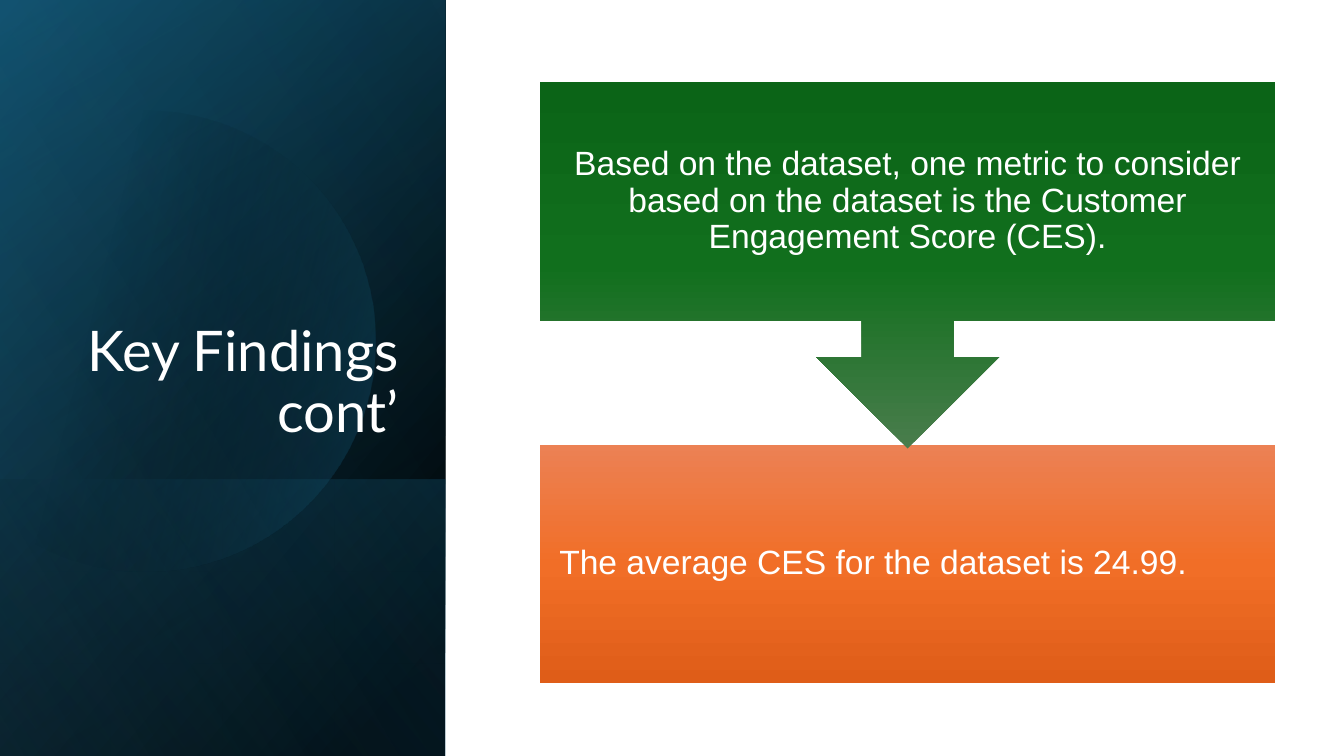
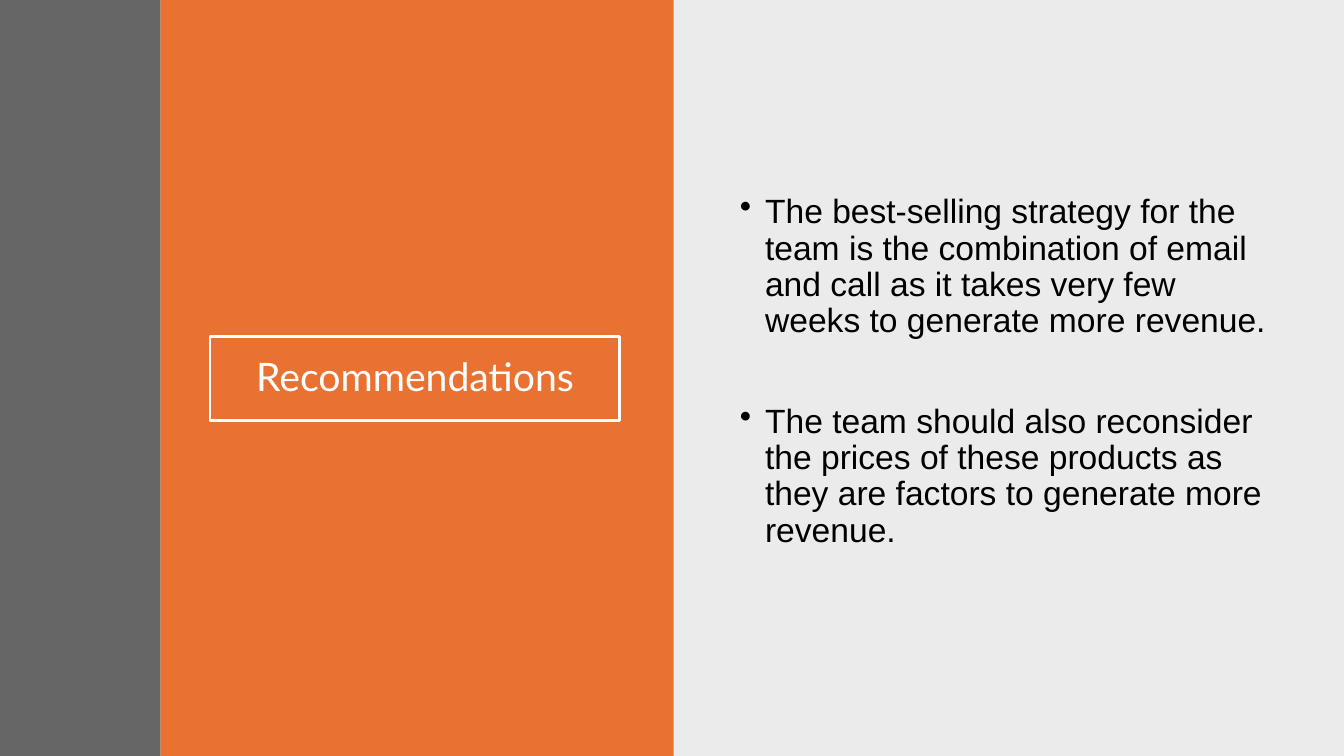
from dataclasses import dataclass
from math import acos, cos, pi, sin
from typing import NamedTuple, Optional, Union

from lxml.etree import SubElement
from pptx import Presentation
from pptx.dml.color import RGBColor
from pptx.enum.shapes import MSO_SHAPE as Preset
from pptx.enum.text import MSO_ANCHOR as Anchor, PP_ALIGN as Align
from pptx.oxml.ns import qn
from pptx.util import Inches, Pt

COLUMNS, ROWS = 16, 9
CELL = Inches(7.5) // ROWS


@dataclass(frozen=True)
class Theme:
    title_font: str = "Lato"
    body_font: str = "Arial"
    white: str = "FFFFFF"
    black: str = "000000"
    orange: str = "E97132"
    dark_gray: str = "666666"
    light_gray: str = "EBEBEB"
    teal: str = "156082"
    deep_teal: str = "0F4861"
    sky: str = "43AFE2"
    large_title: int = 40
    small_title: int = 28
    body: int = 24
    line_spacing: float = 0.9


THEME = Theme()


class Box(NamedTuple):
    """A frame in grid cells."""
    left: float
    top: float
    width: float
    height: float


class Stop(NamedTuple):
    position: int
    color: str
    opacity: int = 100


class Gradient(NamedTuple):
    angle: int
    stops: tuple[Stop, ...]


class Band(NamedTuple):
    box: Box
    fill: Union[str, Gradient]


@dataclass(frozen=True)
class TextStyle:
    font: str = THEME.body_font
    size: int = THEME.body
    color: str = THEME.white
    align: Align = Align.LEFT
    anchor: Anchor = Anchor.MIDDLE
    inset: tuple[float, float] = (0.1, 0.05)
    gap: int = 0
    bullet: Optional[str] = None


LARGE_TITLE = TextStyle(THEME.title_font, THEME.large_title, align=Align.RIGHT, anchor=Anchor.BOTTOM)
SMALL_TITLE = TextStyle(THEME.title_font, THEME.small_title, align=Align.CENTER)
STEP = TextStyle(inset=(0.19, 0.19))
CENTERED_STEP = TextStyle(inset=(0.19, 0.19), align=Align.CENTER)
BULLETS = TextStyle(color=THEME.black, anchor=Anchor.TOP, gap=46, bullet="•")

SIDE = Box(0, 0, 5.3, ROWS)
SIDE_BANDS = (
    Band(SIDE, Gradient(50, (Stop(0, THEME.black), Stop(8, THEME.black), Stop(100, THEME.deep_teal)))),
    Band(SIDE, Gradient(30, (Stop(0, THEME.black, 0), Stop(99, THEME.teal, 46), Stop(100, THEME.teal, 46)))),
    Band(Box(0, 5.71, 5.3, 3.29),
         Gradient(130, (Stop(0, THEME.teal, 29), Stop(2, THEME.teal, 29), Stop(100, THEME.black, 30)))),
)
SIDE_GLOW = Band(SIDE, Gradient(120, (Stop(0, THEME.black, 0), Stop(99, THEME.sky, 11), Stop(100, THEME.sky, 11))))
DISC_FILL = Gradient(14, (Stop(0, THEME.black, 0), Stop(29, THEME.black, 0), Stop(100, THEME.teal, 43)))
ORANGE_FILL = Gradient(90, (Stop(0, "EC8154"), Stop(50, "F16E27"), Stop(100, "DF5D18")))
GREEN_FILL = Gradient(90, (Stop(0, "497D4C"), Stop(50, "116F1D"), Stop(100, "0B6417")))

PANELS = (
    Band(Box(8, 0, 8, ROWS), THEME.light_gray),
    Band(Box(1.91, 0, 6.11, ROWS), THEME.orange),
    Band(Box(0, 0, 1.91, ROWS), THEME.dark_gray),
)
RECOMMENDATIONS = (
    "The best-selling strategy for the team is the combination of email and call "
    "as it takes very few weeks to generate more revenue.",
    "The team should also reconsider the prices of these products as they are "
    "factors to generate more revenue.",
)


def emu(box: Box) -> list[int]:
    return [round(value * CELL) for value in box]


def set_fill(shape, fill: Union[str, Gradient, None]) -> None:
    """Fill with a colour, a gradient or nothing, without outline and shadow."""
    shape.shadow.inherit = False
    shape.line.fill.background()
    if isinstance(fill, str):
        shape.fill.solid()
        shape.fill.fore_color.rgb = RGBColor.from_string(fill)
        return
    shape.fill.background()
    if fill is None:
        return
    properties = shape.element.spPr
    gradient = SubElement(properties, qn("a:gradFill"), rotWithShape="1")
    properties.replace(properties.find(qn("a:noFill")), gradient)
    stop_list = SubElement(gradient, qn("a:gsLst"))
    for stop in fill.stops:
        entry = SubElement(stop_list, qn("a:gs"), pos=str(stop.position * 1000))
        color = SubElement(entry, qn("a:srgbClr"), val=stop.color)
        if stop.opacity < 100:
            SubElement(color, qn("a:alpha"), val=str(stop.opacity * 1000))
    SubElement(gradient, qn("a:lin"), ang=str(fill.angle * 60000), scaled="0")


def add_block(slide, box: Box, fill: Union[str, Gradient, None], preset: Preset = Preset.RECTANGLE):
    shape = slide.shapes.add_shape(preset, *emu(box))
    set_fill(shape, fill)
    return shape


def add_turned_band(slide, band: Band) -> None:
    """Draw a band as a mirrored rectangle on its side, which turns its gradient."""
    left, top, width, height = band.box
    shift = (width - height) / 2
    shape = add_block(slide, Box(left + shift, top - shift, height, width), band.fill)
    shape.rotation = 90
    shape.element.spPr.xfrm.set("flipH", "1")


def add_disc(slide, center_x: float, center_y: float, radius: float) -> None:
    """Draw a disc cut off by the left edge of the slide."""
    reach, steps = acos(-center_x / radius), 120
    angles = [reach * (2 * step / steps - 1) for step in range(steps + 1)]
    points = [(round((center_x + radius * cos(angle)) * CELL),
               round((center_y + radius * sin(angle)) * CELL)) for angle in angles]
    builder = slide.shapes.build_freeform(*points[0])
    builder.add_line_segments(points[1:], close=True)
    set_fill(builder.convert_to_shape(), DISC_FILL)


def write(shape, style: TextStyle, *texts: str) -> None:
    frame = shape.text_frame
    side, end = (Inches(value) for value in style.inset)
    frame_format = {"word_wrap": True, "vertical_anchor": style.anchor, "margin_left": side,
                    "margin_right": side, "margin_top": end, "margin_bottom": end}
    for name, value in frame_format.items():
        setattr(frame, name, value)
    for index, text in enumerate(texts):
        paragraph = frame.add_paragraph() if index else frame.paragraphs[0]
        paragraph_format = {"text": text, "alignment": style.align, "line_spacing": THEME.line_spacing,
                            "space_before": Pt(style.gap if index else 0)}
        for name, value in paragraph_format.items():
            setattr(paragraph, name, value)
        for name, value in {"name": style.font, "size": Pt(style.size)}.items():
            setattr(paragraph.font, name, value)
        paragraph.font.color.rgb = RGBColor.from_string(style.color)
        if style.bullet:
            add_bullet(paragraph, style.bullet)


def add_bullet(paragraph, character: str) -> None:
    properties = paragraph._p.get_or_add_pPr()
    indent = Inches(0.25)
    properties.set("marL", str(indent))
    properties.set("indent", str(-indent))
    bullet = SubElement(properties, qn("a:buChar"), char=character)
    properties.find(qn("a:defRPr")).addprevious(bullet)


def add_text(slide, box: Box, style: TextStyle, *texts: str) -> None:
    write(slide.shapes.add_textbox(*emu(box)), style, *texts)


def build_findings(slide) -> None:
    for band in SIDE_BANDS:
        add_turned_band(slide, band)
    add_disc(slide, 1.73, 4.06, 2.74)
    add_turned_band(slide, SIDE_GLOW)
    add_text(slide, Box(0.77, 2.21, 4.09, 3.14), LARGE_TITLE, "Key Findings cont’")

    left, width, height = 6.43, 8.75, 2.83
    result = add_block(slide, Box(left, 5.3, width, height), ORANGE_FILL)
    write(result, STEP, "The average CES for the dataset is 24.99.")
    callout = add_block(slide, Box(left, 0.98, width, 4.36), GREEN_FILL, Preset.UP_ARROW_CALLOUT)
    callout.rotation = 180
    add_text(slide, Box(left, 0.98, width, height), CENTERED_STEP,
             "Based on the dataset, one metric to consider based on the dataset "
             "is the Customer Engagement Score (CES).")


def build_recommendations(slide) -> None:
    for panel in PANELS:
        add_block(slide, panel.box, panel.fill)
    title = add_block(slide, Box(2.5, 4.01, 4.88, 1), None)
    title.line.color.rgb = RGBColor.from_string(THEME.white)
    title.line.width = Pt(2)
    write(title, SMALL_TITLE, "Recommendations")
    add_text(slide, Box(8.69, 2.26, 6.64, 4.5), BULLETS, *RECOMMENDATIONS)


def main() -> None:
    presentation = Presentation()
    presentation.slide_width, presentation.slide_height = COLUMNS * CELL, ROWS * CELL
    blank = presentation.slide_layouts[6]
    for build in (build_findings, build_recommendations):
        build(presentation.slides.add_slide(blank))
    presentation.save("out.pptx")


if __name__ == "__main__":
    main()
